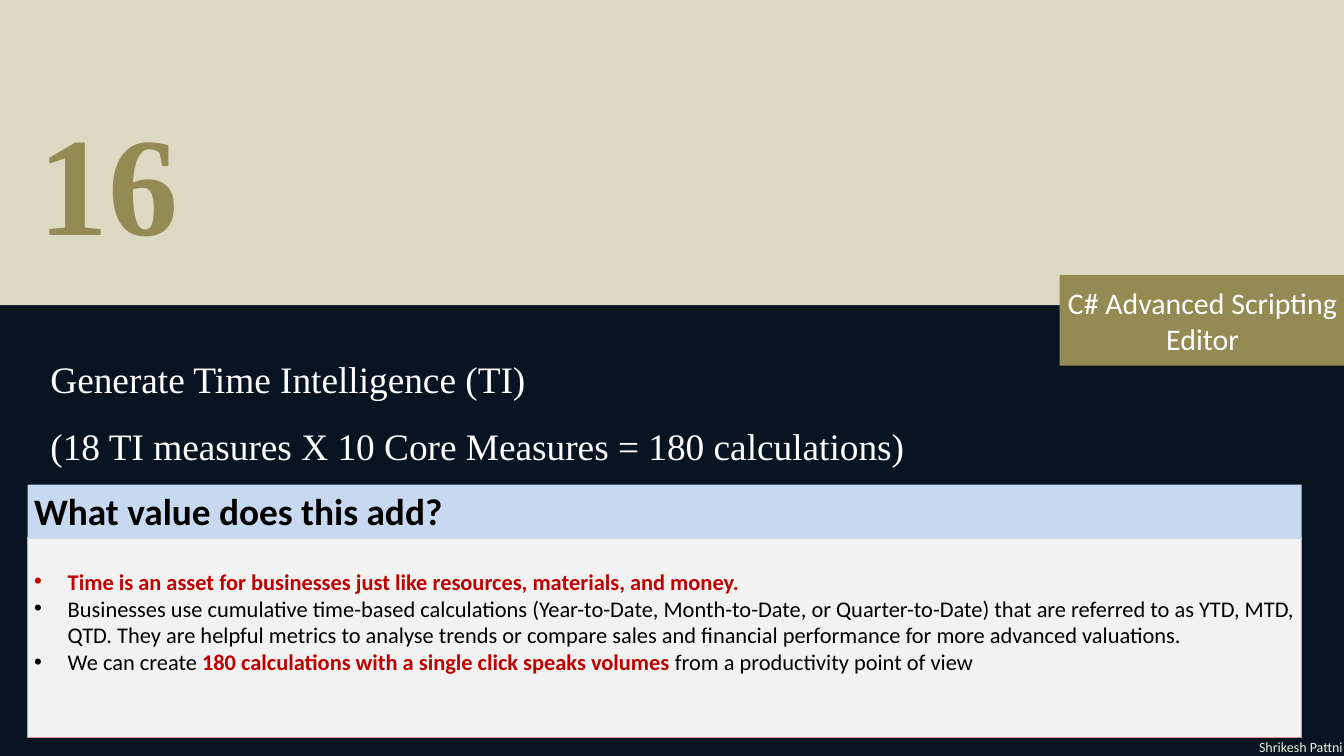
from lxml.etree import SubElement
from pptx import Presentation
from pptx.dml.color import RGBColor
from pptx.enum.shapes import MSO_SHAPE
from pptx.enum.text import MSO_ANCHOR, PP_ALIGN
from pptx.oxml.ns import qn
from pptx.util import Inches, Pt

CELL = 0.25  # inches; the slide is a grid of 80 columns by 45 rows
COLUMNS, ROWS = 80, 45
SERIF, SANS = "Times New Roman", "Calibri"
NAVY, SAND, OLIVE = "081422", "DDD9C3", "948A54"
WHITE, BLACK, RED, PALE_GREEN = "FFFFFF", "000000", "C00000", "EBF1DE"
LIGHT_GREY, LIGHT_BLUE, ROSE = "F2F2F2", "C6D9F1", "D99694"


def color(value):
    return RGBColor.from_string(value)


def grid(*cells):
    return [Inches(cell * CELL) for cell in cells]


def add_run(paragraph, text, *, font=SANS, size=24, fill=BLACK, bold=False):
    run = paragraph.add_run()
    run.text = text
    run.font.name = font
    run.font.size = Pt(size)
    run.font.bold = bold
    run.font.color.rgb = color(fill)


def add_bullet(paragraph, indent=0.5):
    properties = paragraph._p.get_or_add_pPr()
    properties.set("marL", str(Inches(indent)))
    properties.set("indent", str(-Inches(indent)))
    SubElement(properties, qn("a:buFont"), typeface="Arial")
    SubElement(properties, qn("a:buChar"), char="•")


def write(shape, paragraphs, *, align=PP_ALIGN.LEFT, anchor=MSO_ANCHOR.TOP,
          spacing=None, insets=(0.1, 0.05, 0.1, 0.05), bullets=False, **style):
    """Each paragraph is a list of (text, style changes) pairs."""
    frame = shape.text_frame
    frame.word_wrap = True
    frame.vertical_anchor = anchor
    (frame.margin_left, frame.margin_top,
     frame.margin_right, frame.margin_bottom) = [Inches(inset) for inset in insets]
    for index, runs in enumerate(paragraphs):
        paragraph = frame.add_paragraph() if index else frame.paragraphs[0]
        paragraph.alignment = align
        if spacing:
            paragraph.line_spacing = spacing
        if bullets:
            add_bullet(paragraph)
        for text, changes in runs:
            add_run(paragraph, text, **{**style, **changes})


class SectionSlide:
    def __init__(self, presentation):
        self.slide = presentation.slides.add_slide(presentation.slide_layouts[6])
        background = self.slide.background.fill
        background.solid()
        background.fore_color.rgb = color(NAVY)

    def panel(self, left, top, width, height, fill, line=None):
        shape = self.slide.shapes.add_shape(
            MSO_SHAPE.RECTANGLE, *grid(left, top, width, height))
        shape.shadow.inherit = False
        shape.fill.solid()
        shape.fill.fore_color.rgb = color(fill)
        if line:
            shape.line.color.rgb = color(line)
            shape.line.width = Pt(0.75)
        else:
            shape.line.fill.background()
        return shape

    def text(self, left, top, width, height, lines, **style):
        box = self.slide.shapes.add_textbox(*grid(left, top, width, height))
        write(box, [[(line, {})] for line in lines], **style)


def main():
    presentation = Presentation()
    presentation.slide_width, presentation.slide_height = grid(COLUMNS, ROWS)
    section = SectionSlide(presentation)
    flush = (0, 0, 0, 0)

    # Top band with the section number
    section.panel(0, -0.16, COLUMNS, 18.32, SAND)
    section.text(2.32, 10, 60, 6.48, ["16"], font=SERIF, size=150, fill=OLIVE,
                 bold=True, spacing=Pt(102), insets=flush)

    # Author
    section.text(72.16, 43.76, 8.16, 1.4, ["Shrikesh Pattni"],
                 size=15, fill=PALE_GREEN, align=PP_ALIGN.RIGHT)

    # Title
    section.text(3, 19.88, 76.56, 7.64,
                 ["Generate Time Intelligence (TI)",
                  "(18 TI measures X 10 Core Measures = 180 calculations)"],
                 font=SERIF, size=40, fill=WHITE, spacing=1.5, insets=flush)

    # Topic badge
    badge = section.panel(63.08, 16.36, 17, 5.4, OLIVE)
    write(badge, [[("C# Advanced Scripting Editor", {})]], size=32, fill=WHITE,
          align=PP_ALIGN.CENTER, anchor=MSO_ANCHOR.MIDDLE)

    # Value card: bullets start one line below the top edge
    key = {"fill": RED, "bold": True}
    body = section.panel(1.64, 32, 75.84, 11.88, LIGHT_GREY, line=ROSE)
    write(body, [
        [("Time is an asset for businesses just like resources, materials, and money.", key)],
        [("Businesses use cumulative time-based calculations (Year-to-Date, "
          "Month-to-Date, or Quarter-to-Date) that are referred to as YTD, MTD, QTD. "
          "They are helpful metrics to analyse trends or compare sales and financial "
          "performance for more advanced valuations.", {})],
        [("We can create ", {}),
         ("180 calculations with a single click speaks volumes ", key),
         ("from a productivity point of view", {})],
    ], bullets=True, insets=(0.1, 0.45, 0.1, 0.05))

    header = section.panel(1.64, 28.84, 75.84, 3.24, LIGHT_BLUE)
    write(header, [[("What value does this add?", {})]], size=40, bold=True)

    presentation.save("out.pptx")


if __name__ == "__main__":
    main()
